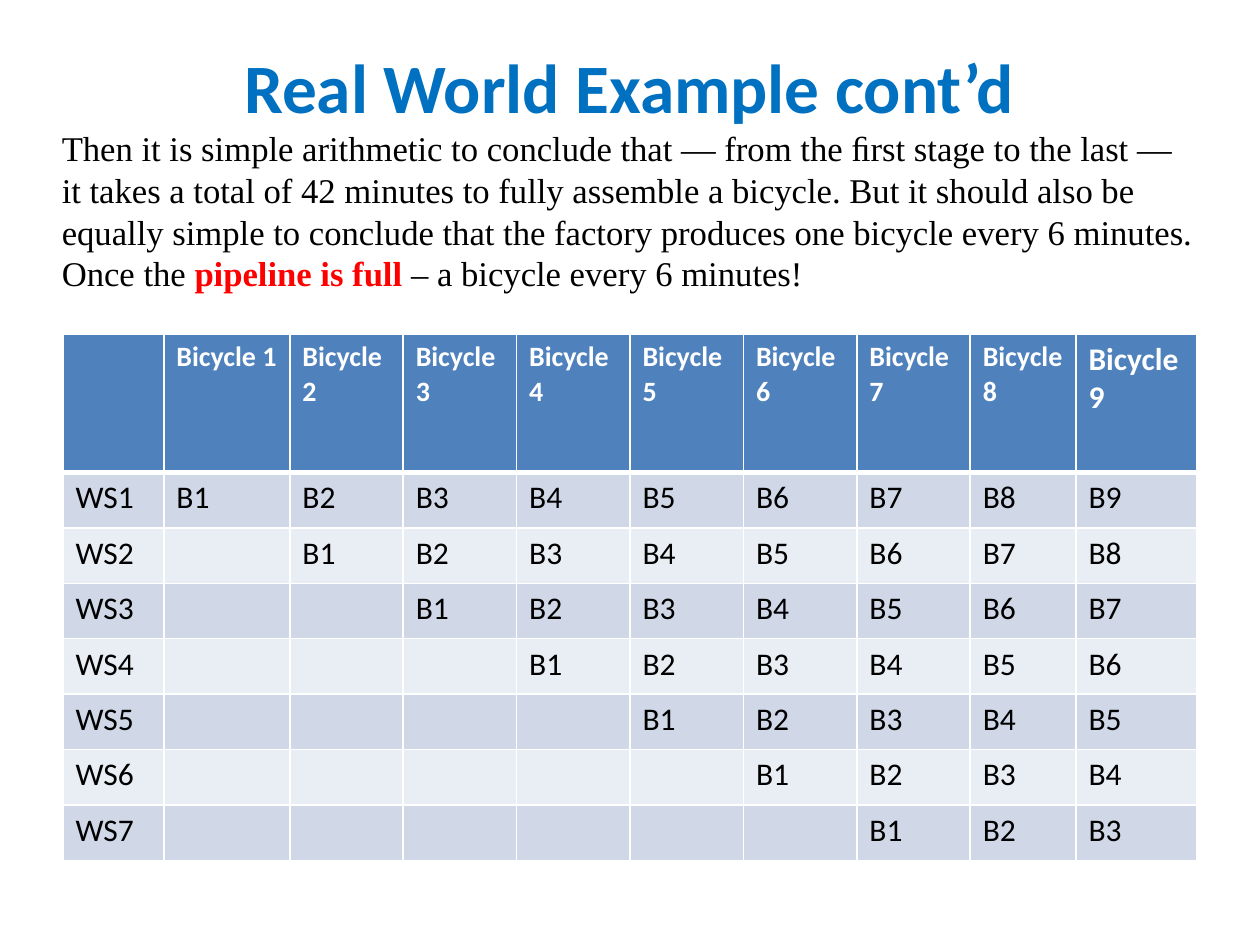
from lxml import etree
from pptx import Presentation
from pptx.dml.color import RGBColor
from pptx.enum.text import MSO_ANCHOR, MSO_AUTO_SIZE, PP_ALIGN
from pptx.oxml.ns import qn
from pptx.util import Inches, Pt

TOP = MSO_ANCHOR.TOP
NO_AUTOFIT = MSO_AUTO_SIZE.NONE
LEFT, CENTER = PP_ALIGN.LEFT, PP_ALIGN.CENTER

WHITE = RGBColor(0xFF, 0xFF, 0xFF)
BLACK = RGBColor(0x00, 0x00, 0x00)
RED = RGBColor(0xFF, 0x00, 0x00)
TITLE_BLUE = RGBColor(0x00, 0x70, 0xC0)
HEADER_BLUE = RGBColor(0x4F, 0x81, 0xBD)
BAND_DARK = RGBColor(0xD0, 0xD8, 0xE8)
BAND_LIGHT = RGBColor(0xE9, 0xED, 0xF4)

SANS, SERIF = "Calibri", "Times New Roman"
TITLE_ONLY_LAYOUT = 5
STATIONS, BICYCLES = 7, 9
COLUMN_WIDTHS = [0.8, 1] + [0.9] * 6 + [0.84, 0.96]
HEADER_HEIGHT, ROW_HEIGHT = 1.1, 0.44

EXPLANATION = (
    "Then it is simple arithmetic to conclude that — from the ﬁrst stage to the last — "
    "it takes a total of 42 minutes to fully assemble a bicycle. But it should also be "
    "equally simple to conclude that the factory produces one bicycle every 6 minutes."
)


def add_run(paragraph, text, font_name, size, color, bold=False):
    """Append one formatted run to a paragraph."""
    run = paragraph.add_run()
    run.text = text
    run.font.name = font_name
    run.font.size = Pt(size)
    run.font.color.rgb = color
    run.font.bold = bold


def place_title(title, left, top, width, height):
    """Place the title placeholder with its heading and explanation."""
    title.left, title.top, title.width, title.height = left, top, width, height
    frame = title.text_frame
    frame.word_wrap = True
    frame.auto_size = NO_AUTOFIT
    frame.vertical_anchor = TOP

    heading = frame.paragraphs[0]
    heading.alignment = CENTER
    add_run(heading, "Real World Example cont’d", SANS, 39.6, TITLE_BLUE, True)

    explanation, conclusion = frame.add_paragraph(), frame.add_paragraph()
    for paragraph in (explanation, conclusion):
        paragraph.alignment = LEFT
        paragraph.line_spacing = Pt(23.8)
    for paragraph in frame.paragraphs:
        paragraph.space_before = Pt(0)
    add_run(explanation, EXPLANATION, SERIF, 19.8, BLACK)
    add_run(conclusion, "Once the ", SERIF, 19.8, BLACK)
    add_run(conclusion, "pipeline is full ", SERIF, 19.8, RED, True)
    add_run(conclusion, "– a bicycle every 6 minutes!", SERIF, 19.8, BLACK)


def set_borders(cell, top_width, bottom_width):
    """Give a cell white borders, 1 pt wide at the sides."""
    properties = cell._tc.get_or_add_tcPr()
    widths = {"a:lnL": 1, "a:lnR": 1, "a:lnT": top_width, "a:lnB": bottom_width}
    for tag, width in widths.items():
        line = etree.SubElement(properties, qn(tag), w=str(Pt(width)))
        fill = etree.SubElement(line, qn("a:solidFill"))
        etree.SubElement(fill, qn("a:srgbClr"), val=str(WHITE))


def cell_text(row, column):
    """Return the wording of a cell in the pipeline schedule."""
    if row == 0:
        return f"Bicycle {column}" if column else ""
    if column == 0:
        return f"WS{row}"
    return f"B{column - row + 1}" if column >= row else ""


def format_cell(cell, row, column):
    """Fill, border and write one cell of the schedule."""
    is_header = row == 0
    set_borders(cell, 3 if row == 1 else 1, 3 if is_header else 1)
    cell.fill.solid()
    band = BAND_DARK if row % 2 else BAND_LIGHT
    cell.fill.fore_color.rgb = HEADER_BLUE if is_header else band
    text = cell_text(row, column)
    if text:
        size = 16 if is_header and column < BICYCLES else 18
        color = WHITE if is_header else BLACK
        add_run(cell.text_frame.paragraphs[0], text, SANS, size, color, is_header)


def add_schedule(slide, left, top, width, height):
    """Add the table of workstations against bicycles."""
    shape = slide.shapes.add_table(STATIONS + 1, BICYCLES + 1, left, top, width, height)
    table = shape.table
    for column, column_width in zip(table.columns, COLUMN_WIDTHS):
        column.width = Inches(column_width)
    for row_index, row in enumerate(table.rows):
        row.height = Inches(ROW_HEIGHT if row_index else HEADER_HEIGHT)
        for column_index, cell in enumerate(row.cells):
            format_cell(cell, row_index, column_index)


def main():
    """Build and save the presentation."""
    presentation = Presentation()
    presentation.slide_width, presentation.slide_height = Inches(10), Inches(7.5)
    slide = presentation.slides.add_slide(presentation.slide_layouts[TITLE_ONLY_LAYOUT])
    place_title(slide.shapes.title, Inches(0.39), Inches(0.3), Inches(9.21), Inches(2.1))
    add_schedule(slide, Inches(0.5), Inches(2.65), Inches(9), Inches(4.18))
    presentation.save("out.pptx")


if __name__ == "__main__":
    main()
